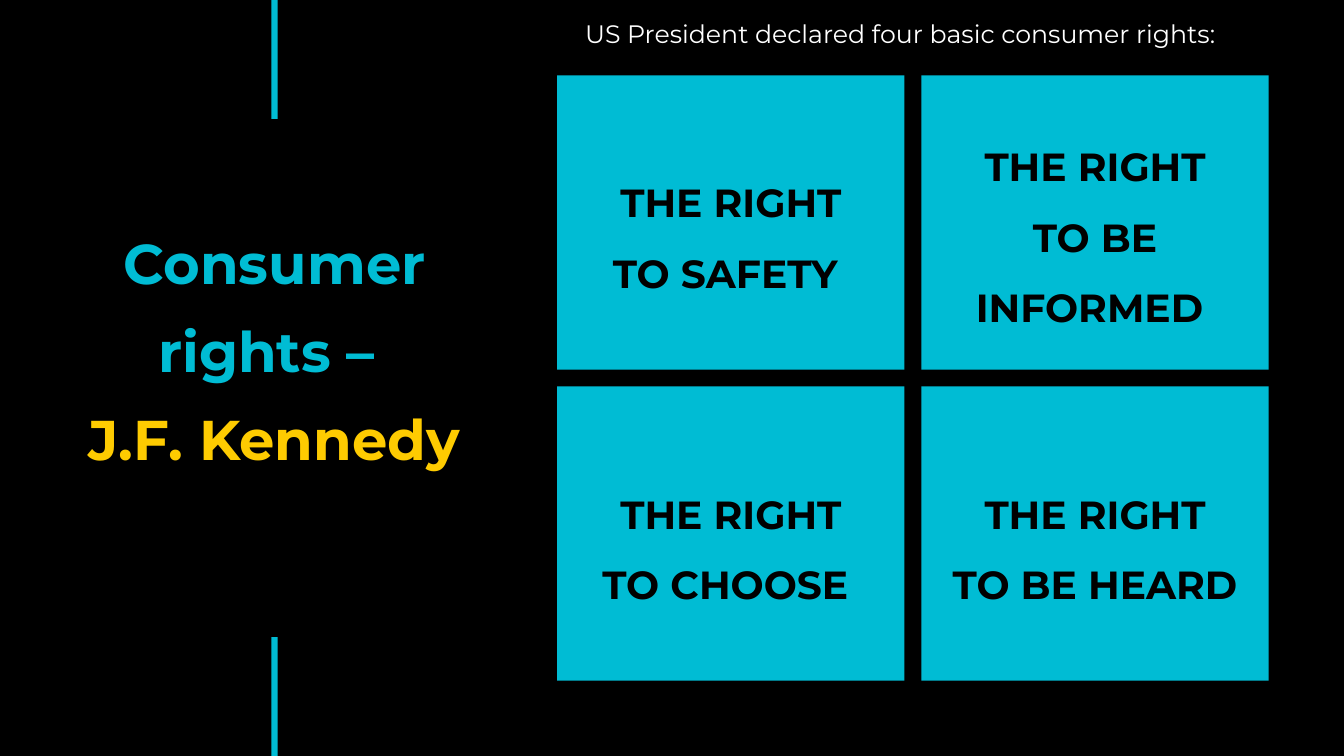
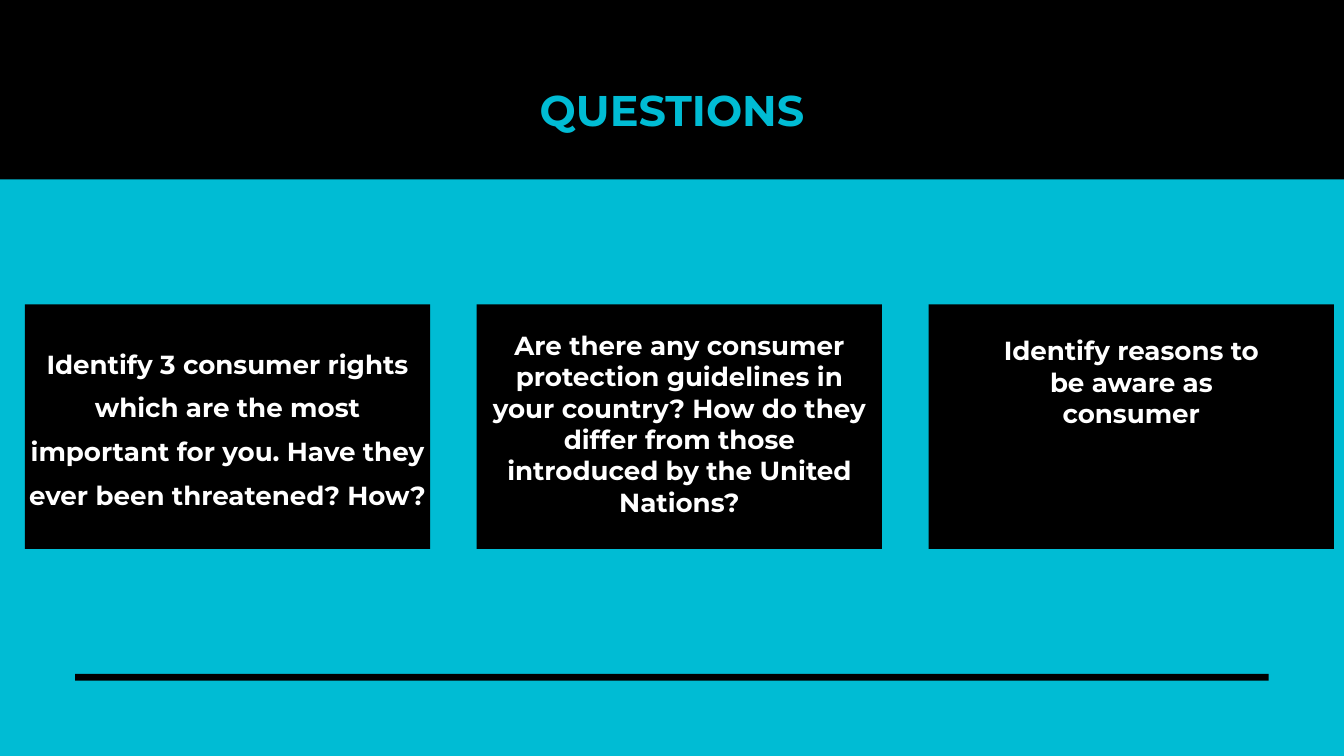
from pptx import Presentation
from pptx.dml.color import RGBColor
from pptx.enum.shapes import MSO_SHAPE
from pptx.enum.text import PP_ALIGN
from pptx.util import Inches, Pt

WIDE, HIGH = 20, 11.25
BLACK = RGBColor(0x00, 0x00, 0x00)
WHITE = RGBColor(0xFF, 0xFF, 0xFF)
CYAN = RGBColor(0x00, 0xBC, 0xD4)
GOLD = RGBColor(0xFE, 0xCB, 0x01)
FONT = "Montserrat"

TITLE = [("Consumer rights – ", CYAN), ("J.F. Kennedy", GOLD)]
LEAD = "US President declared four basic consumer rights:"
RIGHTS = [
    [("THE RIGHT TO SAFETY ", 1.19), ("THE RIGHT TO BE INFORMED ", 0.65)],
    [("THE RIGHT TO CHOOSE ", 1.19), ("THE RIGHT TO BE HEARD", 1.19)],
]
HEAD = "QUESTIONS"
# (text, side inset, top inset, text height, margin, line spacing)
TASKS = [
    ("Identify 3 consumer rights which are the most important for you. "
     "Have they ever been threatened? How?", 0, 0.46, 0.82, 0, 1.4),
    ("Are there any consumer protection guidelines in your country? "
     "How do they differ from those introduced by the United Nations?",
     0.06, 0.27, 2.89, 0.1, None),
    ("Identify reasons to be aware as consumer", 0.91, 0.35, 2.49, 0.1, None),
]


def start(deck, color):
    """Add a blank slide with a plain background."""
    slide = deck.slides.add_slide(deck.slide_layouts[6])
    slide.background.fill.solid()
    slide.background.fill.fore_color.rgb = color
    return slide


def block(slide, x, y, w, h, color):
    """Draw a plain filled rectangle."""
    shape = slide.shapes.add_shape(MSO_SHAPE.RECTANGLE, *map(Inches, (x, y, w, h)))
    shape.shadow.inherit = False
    shape.fill.solid()
    shape.fill.fore_color.rgb = color
    shape.line.fill.background()


def write(slide, x, y, w, h, lines, size, bold=True, space=None, margin=0,
          align=PP_ALIGN.CENTER):
    """Write (text, colour) lines as paragraphs of one text box."""
    frame = slide.shapes.add_textbox(*map(Inches, (x, y, w, h))).text_frame
    frame.word_wrap = True
    frame.margin_left = frame.margin_right = Inches(margin)
    frame.margin_top = frame.margin_bottom = Inches(margin)
    for i, (text, color) in enumerate(lines):
        para = frame.add_paragraph() if i else frame.paragraphs[0]
        para.text = text
        para.alignment = align
        if space:
            para.line_spacing = space
        font = para.font
        font.name, font.size, font.bold = FONT, Pt(size), bold
        font.color.rgb = color


def rights(deck):
    """Build the slide with the four rights."""
    slide = start(deck, BLACK)
    write(slide, 1.15, 3.09, 5.87, 4.31, TITLE, 60, space=1.31)
    bar = 1.77
    for y in (0, HIGH - bar):
        block(slide, 4.04, y, 0.09, bar, CYAN)
    wide, high, gap, pad = 5.17, 4.38, 0.25, 0.46
    for row, cells in enumerate(RIGHTS):
        for col, (text, drop) in enumerate(cells):
            x = 8.29 + col * (wide + gap)
            y = 1.12 + row * (high + gap)
            block(slide, x, y, wide, high, CYAN)
            write(slide, x + pad, y + drop, wide - 2 * pad, 2,
                  [(text, BLACK)], 42, space=1.5)
    write(slide, 8.61, 0.17, 9.8, 0.7, [(LEAD, WHITE)], 27, bold=False,
          margin=0.1, align=PP_ALIGN.LEFT)


def tasks(deck):
    """Build the slide with the three questions."""
    slide = start(deck, CYAN)
    block(slide, 0, 0, WIDE, 2.67, BLACK)
    write(slide, 1.39, 1.01, 17.22, 1.06, [(HEAD, CYAN)], 46, space=1.31)
    edge = 1.12
    block(slide, edge, 10.03, WIDE - 2 * edge, 0.1, BLACK)
    top, wide, step = 4.53, 6.03, 6.725
    for col, (text, side, drop, high, margin, space) in enumerate(TASKS):
        x = 0.37 + col * step
        block(slide, x, top, wide, 3.64, BLACK)
        write(slide, x + side, top + drop, wide - 2 * side, high,
              [(text, WHITE)], 28, space=space, margin=margin)


def main():
    """Build and save the deck."""
    deck = Presentation()
    deck.slide_width, deck.slide_height = Inches(WIDE), Inches(HIGH)
    rights(deck)
    tasks(deck)
    deck.save("out.pptx")


if __name__ == "__main__":
    main()
